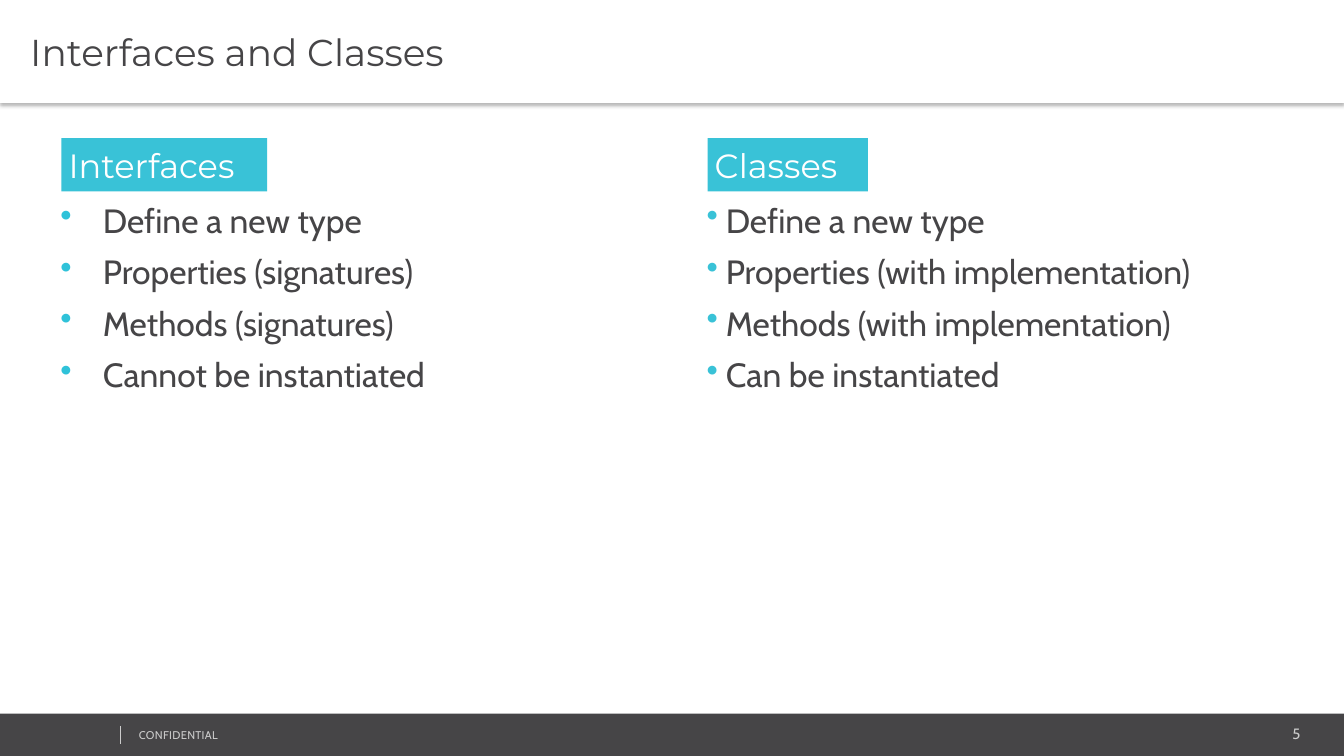
from lxml.etree import SubElement as Sub
from pptx import Presentation
from pptx.dml.color import RGBColor as Rgb
from pptx.enum.shapes import MSO_CONNECTOR as Link, MSO_SHAPE as Form
from pptx.enum.text import MSO_ANCHOR as Anchor, PP_ALIGN as Align
from pptx.oxml.ns import qn
from pptx.util import Inches, Pt

WHITE = Rgb(0xFF, 0xFF, 0xFF)
BLACK = Rgb(0, 0, 0)
DARK = Rgb(0x46, 0x45, 0x47)
PALE = Rgb(0xCC, 0xCC, 0xCC)
CYAN = Rgb(0x39, 0xC2, 0xD7)
SKY = Rgb(0x2F, 0xC2, 0xD9)

COLS, ROWS = 160, 90
HEAD, BODY = "Montserrat", "Cabin"


class Board:
    """Slide with a grid of 160 columns and 90 rows."""

    def __init__(self, deck):
        self.deck = deck
        self.slide = deck.slides.add_slide(deck.slide_layouts[6])
        self.shapes = self.slide.shapes

    def place(self, col, row, wide=0, high=0):
        x, y = self.deck.slide_width / COLS, self.deck.slide_height / ROWS
        return [round(n) for n in (col * x, row * y, wide * x, high * y)]

    def box(self, area, fill):
        box = self.shapes.add_shape(Form.RECTANGLE, *self.place(*area))
        box.shadow.inherit = False
        box.fill.solid()
        box.fill.fore_color.rgb = fill
        box.line.fill.background()
        return box

    def shade(self, box):
        glow = Sub(box._element.spPr.find(qn("a:effectLst")), qn("a:outerShdw"),
                   blurRad=str(Pt(3.1)), dist=str(Pt(2)), dir="5400000",
                   algn="t", rotWithShape="0")
        tint = Sub(glow, qn("a:srgbClr"), val=str(BLACK))
        Sub(tint, qn("a:alpha"), val="30000")

    def letter(self, box, lines, face, size, ink, pad=(0.1, 0.05),
               side=Align.LEFT, anchor=Anchor.MIDDLE):
        frame = box.text_frame
        frame.word_wrap = True
        frame.vertical_anchor = anchor
        left, top = pad
        frame.margin_left = Inches(left)
        frame.margin_right = Inches(min(left, 0.1))
        frame.margin_top = frame.margin_bottom = Inches(top)
        frame.text = "\n".join(lines)
        for para in frame.paragraphs:
            para.alignment = side
            font = para.font
            font.name, font.size, font.color.rgb = face, Pt(size), ink
        return frame.paragraphs

    def label(self, area, text, size, side=Align.LEFT):
        box = self.shapes.add_textbox(*self.place(*area))
        return self.letter(box, [text], BODY, size, PALE, side=side,
                           anchor=Anchor.TOP)[0]

    def bullets(self, area, lines, dent, ink):
        box = self.shapes.add_textbox(*self.place(*area))
        for para in self.letter(box, lines, BODY, 24, DARK, (0.07, 0.04),
                                anchor=Anchor.TOP):
            para.space_after = Pt(8)
            props = para._p.get_or_add_pPr()
            props.set("marL", str(Inches(dent)))
            props.set("indent", str(-Inches(dent)))
            mark = props.find(qn("a:defRPr"))
            tint = props.makeelement(qn("a:buClr"), {})
            Sub(tint, qn("a:srgbClr"), val=str(ink))
            mark.addprevious(tint)
            mark.addprevious(props.makeelement(qn("a:buChar"), {"char": "•"}))

    def rule(self, col, top, end, ink):
        x, y = self.place(col, top)[:2]
        line = self.shapes.add_connector(Link.STRAIGHT, x, y, x,
                                         self.place(col, end)[1])
        line.line.color.rgb = ink
        line.line.width = Pt(0.25)
        Sub(line._element.spPr, qn("a:effectLst"))

    def panel(self, col, name, tab, wide, lines, dent, ink):
        head = self.box((col, 16.44, tab, 6.36), CYAN)
        self.letter(head, [name], HEAD, 24, WHITE, (0.07, 0.06))
        self.bullets((col - 0.96, 23.28, wide, 48), lines, dent, ink)


def main():
    deck = Presentation()
    deck.slide_width, deck.slide_height = Inches(13.33), Inches(7.5)
    board = Board(deck)

    # Footer
    board.box((0, 84.96, COLS, 5.04), DARK)
    board.label((129.84, 85.68, 26.16, 3.36), "5", 10.7, Align.RIGHT)
    note = board.label((15.36, 86.16, 40.56, 2.88), "CONFIDENTIAL", 8)
    note.runs[0].font._element.set("spc", "20")
    board.rule(14.28, 86.4, 88.56, PALE)

    # Two panels
    board.panel(7.32, "Interfaces", 24.48, 71.4, [
        "Define a new type", "Properties (signatures)",
        "Methods (signatures)", "Cannot be instantiated"], 0.42, SKY)
    board.panel(84.24, "Classes", 19.08, 68.76, [
        "Define a new type", "Properties (with implementation)",
        "Methods (with implementation)", "Can be instantiated"], 0.19, CYAN)

    # Title bar
    bar = board.box((0, 0, COLS, 12.24), WHITE)
    board.shade(bar)
    board.letter(bar, ["Interfaces and Classes"], HEAD, 26.7, DARK, (0.3, 0.04))

    deck.save("out.pptx")


if __name__ == "__main__":
    main()
